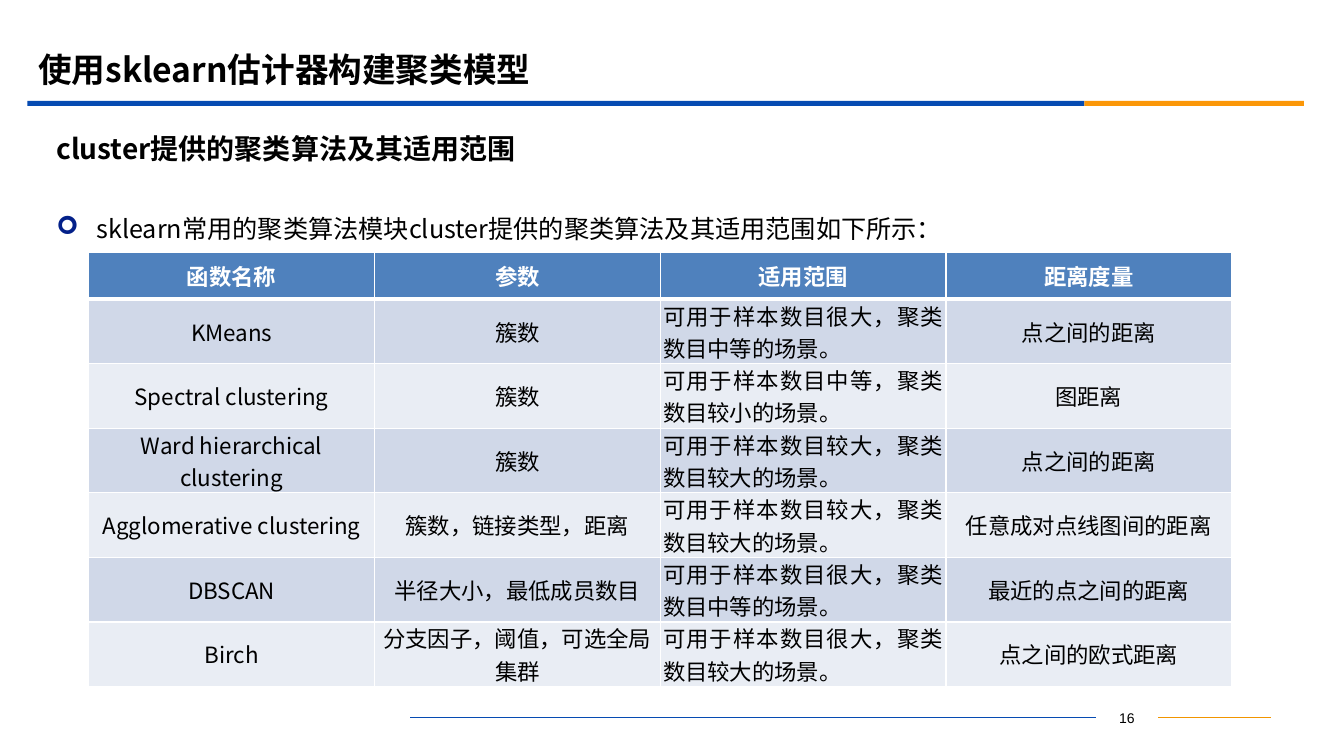
from lxml.etree import SubElement
from pptx import Presentation
from pptx.dml.color import RGBColor
from pptx.enum.shapes import MSO_CONNECTOR, MSO_SHAPE
from pptx.enum.text import MSO_ANCHOR, PP_ALIGN
from pptx.oxml.ns import qn
from pptx.util import Pt

BLACK = RGBColor(0x00, 0x00, 0x00)
WHITE = RGBColor(0xFF, 0xFF, 0xFF)
BLUE = RGBColor(0x06, 0x4B, 0xB2)
ORANGE = RGBColor(0xFB, 0x97, 0x08)
AMBER = RGBColor(0xF1, 0x95, 0x00)
NAVY = RGBColor(0x03, 0x20, 0x89)
HEAD = RGBColor(0x4F, 0x81, 0xBD)
BANDS = RGBColor(0xD0, 0xD8, 0xE8), RGBColor(0xE9, 0xED, 0xF4)
SANS = "Noto Sans CJK SC"

ROWS = [
    ("函数名称", "参数", "适用范围", "距离度量"),
    ("KMeans", "簇数", "可用于样本数目很大，聚类数目中等的场景。", "点之间的距离"),
    ("Spectral clustering", "簇数", "可用于样本数目中等，聚类数目较小的场景。", "图距离"),
    ("Ward hierarchical clustering", "簇数", "可用于样本数目较大，聚类数目较大的场景。", "点之间的距离"),
    ("Agglomerative clustering", "簇数，链接类型，距离", "可用于样本数目较大，聚类数目较大的场景。",
     "任意成对点线图间的距离"),
    ("DBSCAN", "半径大小，最低成员数目", "可用于样本数目很大，聚类数目中等的场景。", "最近的点之间的距离"),
    ("Birch", "分支因子，阈值，可选全局集群", "可用于样本数目很大，聚类数目较大的场景。", "点之间的欧式距离"),
]


def write(frame, text, size=16, color=BLACK, bold=False, font=SANS,
          align=PP_ALIGN.LEFT, space=None, bullet=None):
    para = frame.paragraphs[0]
    para.alignment = align
    if space:
        para.line_spacing = space
    if bullet:
        props = para._p.get_or_add_pPr()
        props.set("marL", str(Pt(28.8)))
        props.set("indent", str(-Pt(28.8)))
        tint = SubElement(props, qn("a:buClr"))
        SubElement(tint, qn("a:srgbClr"), val=str(NAVY))
        SubElement(props, qn("a:buFont"), typeface="Wingdings")
        SubElement(props, qn("a:buChar"), char=bullet)
    run = para.add_run()
    run.text = text
    run.font.size = Pt(size)
    run.font.bold = bold
    run.font.color.rgb = color
    run.font.name = font
    SubElement(run._r.get_or_add_rPr(), qn("a:ea"), typeface=font)


def label(slide, box, text, anchor=MSO_ANCHOR.MIDDLE, **form):
    frame = slide.shapes.add_textbox(*map(Pt, box)).text_frame
    frame.word_wrap = True
    frame.vertical_anchor = anchor
    write(frame, text, **form)


def bar(slide, box, color):
    shape = slide.shapes.add_shape(MSO_SHAPE.RECTANGLE, *map(Pt, box))
    shape.shadow.inherit = False
    shape.fill.solid()
    shape.fill.fore_color.rgb = color
    shape.line.fill.background()


def rule(slide, left, right, y, color):
    line = slide.shapes.add_connector(
        MSO_CONNECTOR.STRAIGHT, Pt(left), Pt(y), Pt(right), Pt(y))
    line.line.color.rgb = color
    line.line.width = Pt(0.75)
    SubElement(line._element.spPr, qn("a:effectLst"))


def header(slide, left, top, width, title):
    label(slide, (left + 0.7, top, 864, 41.8), title, size=24, bold=True)
    split = width * 0.828
    bar(slide, (left, top + 43.9, split, 3.6), BLUE)
    bar(slide, (left + split, top + 43.9, width - split, 3.6), ORANGE)


def body(slide, left, top, width):
    label(slide, (left, top, width, 33.8), "cluster提供的聚类算法及其适用范围",
          size=20, bold=True)
    label(slide, (left, top + 49, width, 344),
          "sklearn常用的聚类算法模块cluster提供的聚类算法及其适用范围如下所示：",
          anchor=MSO_ANCHOR.TOP, size=18, space=1.5, bullet="➢")


def edge(cell, last):
    """Draw white cell borders, with a heavy one under the header."""
    props = cell._tc.get_or_add_tcPr()
    for spot, side in enumerate(("a:lnL", "a:lnR", "a:lnT", "a:lnB")):
        width = Pt(3 if side == last else 1)
        line = props.makeelement(qn(side), {"w": str(width)})
        fill = SubElement(line, qn("a:solidFill"))
        SubElement(fill, qn("a:srgbClr"), val=str(WHITE))
        props.insert(spot, line)


def grid(slide, left, top, width, height, head=33.8):
    count = len(ROWS)
    table = slide.shapes.add_table(
        count, len(ROWS[0]), Pt(left), Pt(top), Pt(width), Pt(height)).table
    for col in table.columns:
        col.width = Pt(width / len(ROWS[0]))
    for i, row in enumerate(ROWS):
        table.rows[i].height = Pt((height - head) / (count - 1) if i else head)
        for j, text in enumerate(row):
            cell = table.cell(i, j)
            cell.margin_left = cell.margin_right = Pt(2)
            cell.margin_top = cell.margin_bottom = Pt(0)
            cell.vertical_anchor = MSO_ANCHOR.MIDDLE
            cell.fill.solid()
            cell.fill.fore_color.rgb = BANDS[(i - 1) % 2] if i else HEAD
            edge(cell, {0: "a:lnB", 1: "a:lnT"}.get(i))
            write(cell.text_frame, text, color=BLACK if i else WHITE, bold=not i,
                  align=PP_ALIGN.JUSTIFY if i and j == 2 else PP_ALIGN.CENTER)


def footer(slide, left, top, width, number):
    y = top + 9.4
    page = left + 489.6
    rule(slide, left, page, y, BLUE)
    rule(slide, page + 44.6, left + width, y, AMBER)
    label(slide, (page, top, 44.6, 18), number, anchor=MSO_ANCHOR.TOP,
          size=10, font="Arial", align=PP_ALIGN.CENTER)


def main():
    deck = Presentation()
    deck.slide_width, deck.slide_height = Pt(960), Pt(540)
    slide = deck.slides.add_slide(deck.slide_layouts[6])
    header(slide, 19.5, 28.1, 912, "使用sklearn估计器构建聚类模型")
    body(slide, 33.1, 89.3, 874.8)
    grid(slide, 63.4, 180, 816.4, 310.4)
    footer(slide, 293, 503.3, 615, "16")
    deck.save("out.pptx")


if __name__ == "__main__":
    main()
